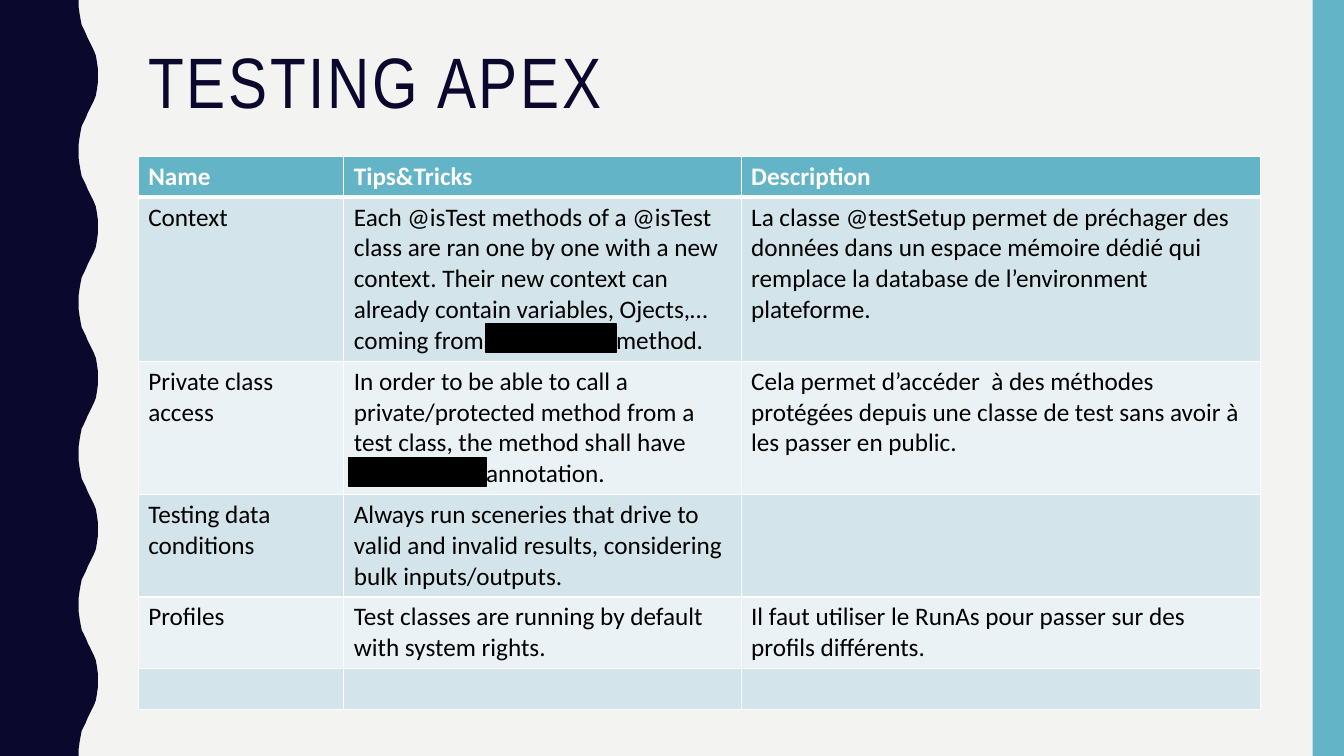
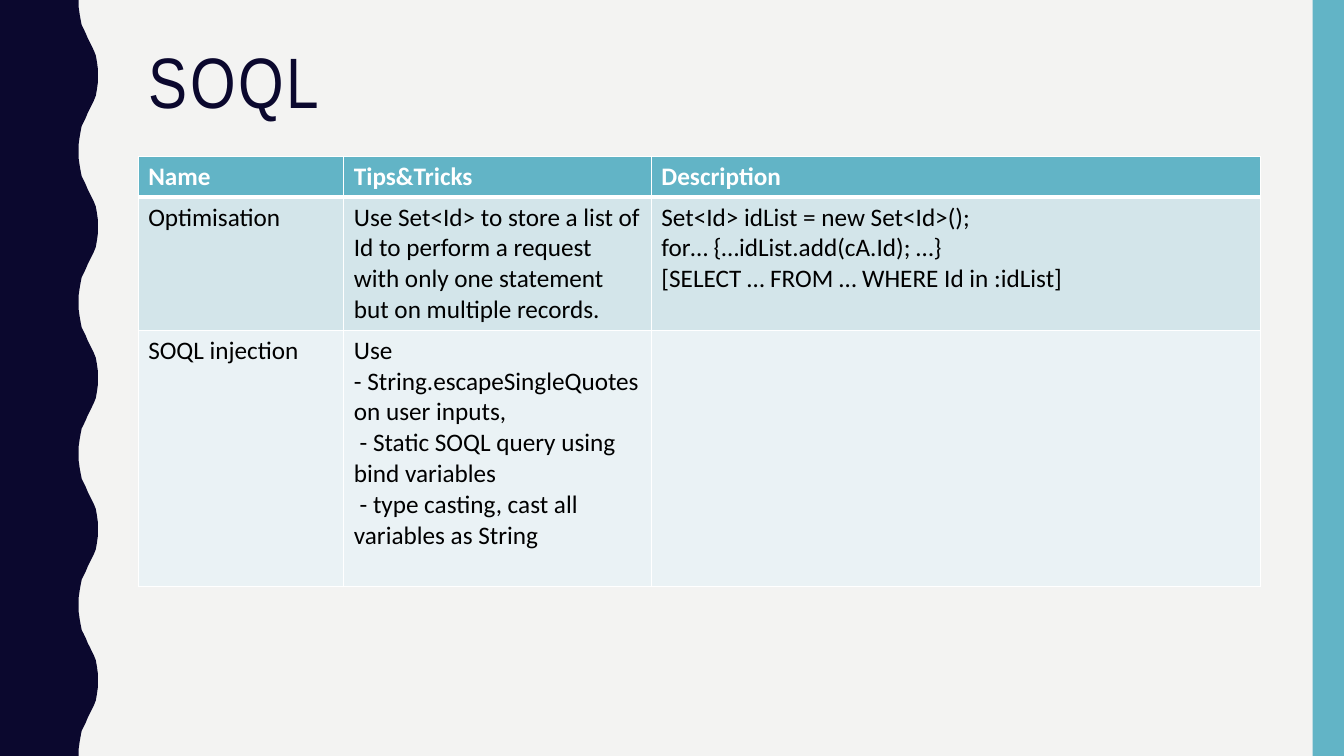
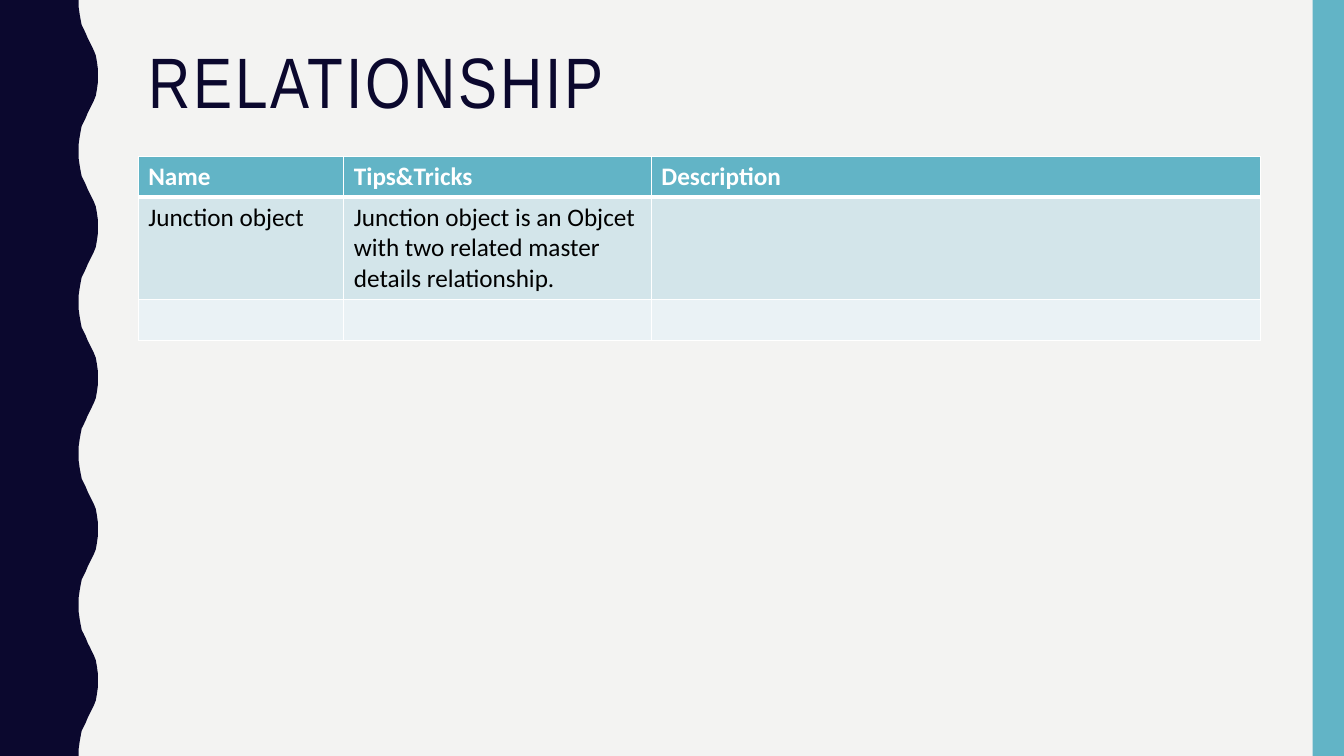
import itertools
from dataclasses import dataclass

import pptx
import pptx.dml.color
import pptx.enum.shapes
import pptx.enum.text
import pptx.oxml
import pptx.oxml.ns
import pptx.util


@dataclass(frozen=True)
class Theme:
    paper: str = "F3F3F2"
    navy: str = "0B082E"
    teal: str = "62B4C6"
    bands: tuple = ("D3E5EA", "EAF2F5")
    white: str = "FFFFFF"
    black: str = "000000"
    head: str = "Arial Narrow"
    body: str = "Calibri"
    big: int = 51
    small: int = 18
    track: int = 200


T = Theme()
PAGE = (0, 0, pptx.util.Inches(13.33), pptx.util.Inches(7.5))
PAD, LINE = pptx.util.Inches(0.1), pptx.util.Pt(22)

# Half a wave of the left edge: x and y as percentages of its box
WAVE = [(80.4, 0), (80.4, 9.3), (81.4, 18.7), (82.5, 26.7), (83.5, 33.3),
        (85.6, 38.7), (87.6, 44), (89.7, 50.7), (91.8, 56), (93.8, 61.3),
        (95.9, 66.7), (97.9, 73.3), (99, 81.3), (100, 90.7), (100, 100)]
HALVES = 10


def part(box, x, y, w, h):
    """Return a box inside another one, given in percentages of it."""
    left, top, wide, high = box
    return (round(left + wide * x / 100), round(top + high * y / 100),
            round(wide * w / 100), round(high * h / 100))


TITLE = part(PAGE, 10.28, 5.6, 83.5, 12.67)
TABLE = part(PAGE, 10.28, 20.67, 83.5, 73.33)
EDGE = part(PAGE, 0, 0, 7.28, 100)
STRIP = part(PAGE, 97.67, 0, 2.33, 100)


def rgb(tone):
    return pptx.dml.color.RGBColor.from_string(tone)


def paint(shape, tone, line=None):
    shape.shadow.inherit = False
    shape.fill.solid()
    shape.fill.fore_color.rgb = rgb(tone)
    if line:
        shape.line.color.rgb = rgb(tone)
        shape.line.width = pptx.util.Pt(line)
    else:
        shape.line.fill.background()
    return shape


def style(para, face, size, tone, bold=False):
    font = para.font
    font.name, font.size, font.bold = face, pptx.util.Pt(size), bold
    font.color.rgb = rgb(tone)


def block(slide, box, tone, line=None):
    kind = pptx.enum.shapes.MSO_SHAPE.RECTANGLE
    return paint(slide.shapes.add_shape(kind, *box), tone, line)


def wave(slide, box):
    """Draw the navy panel with its wavy right edge."""
    left, top, wide, high = box
    step = high / HALVES
    back = [(x, 100 - y) for x, y in reversed(WAVE)]
    edge = [(round(left + wide * x / 100), round(top + step * (k + y / 100)))
            for k in range(HALVES)
            for x, y in (back if k % 2 else WAVE)]
    pen = slide.shapes.build_freeform(left, top)
    pen.add_line_segments([(edge[0][0], top), *edge, (left, top + high)])
    return paint(pen.convert_to_shape(), T.navy)


def dress(deck, slide):
    """Give the master its background, side panels and title place."""
    master, layout = deck.slide_master, slide.slide_layout
    master.background.fill.solid()
    master.background.fill.fore_color.rgb = rgb(T.paper)
    sides = (wave(slide, EDGE), block(slide, STRIP, T.teal))
    for num, side in enumerate(sides, 50):
        side.element.nvSpPr.cNvPr.set("id", str(num))
        master.shapes.element.append(side.element)
    name = layout.placeholders[0]
    name.left, name.top, name.width, name.height = TITLE


def title(slide, text):
    frame = slide.shapes.title.text_frame
    frame.text = text
    frame.auto_size = pptx.enum.text.MSO_AUTO_SIZE.NONE
    frame.vertical_anchor = pptx.enum.text.MSO_ANCHOR.MIDDLE
    frame.margin_bottom = pptx.util.Inches(0.15)
    para = frame.paragraphs[0]
    para.alignment = pptx.enum.text.PP_ALIGN.LEFT
    para.line_spacing = 0.9
    style(para, T.head, T.big, T.navy)
    para.runs[0]._r.get_or_add_rPr().set("spc", str(T.track))


def rule(cell, row):
    """Add white cell borders, thick between head and body."""
    sizes = {"L": 1, "R": 1, "T": 3 if row == 1 else 1,
             "B": 3 if row == 0 else 1}
    props = cell._tc.get_or_add_tcPr()
    for side, size in sizes.items():
        props.append(pptx.oxml.parse_xml(
            f'<a:ln{side} {pptx.oxml.ns.nsdecls("a")} '
            f'w="{pptx.util.Pt(size)}"><a:solidFill>'
            f'<a:srgbClr val="{T.white}"/></a:solidFill></a:ln{side}>'))


def stop(para, place):
    """Add a left tab stop."""
    para._p.get_or_add_pPr().append(pptx.oxml.parse_xml(
        f'<a:tabLst {pptx.oxml.ns.nsdecls("a")}>'
        f'<a:tab pos="{place}" algn="l"/></a:tabLst>'))


def grid(slide, box, cols, rows, bars):
    """Fill a box with a table; each row gives its line count and texts.

    Each tab in the texts leaps to the right end of the next bar.
    """
    left, top, wide, _ = box
    rows = [(1, ("Name", "Tips&Tricks", "Description")), *rows]
    highs = [PAD + LINE * count for count, _ in rows]
    table = slide.shapes.add_table(len(rows), len(cols), left, top, wide,
                                   sum(highs)).table
    table.horz_banding = False
    for col, share in zip(table.columns, cols):
        col.width = round(wide * share / sum(cols))
    for row, high in zip(table.rows, highs):
        row.height = high
    ends = iter([wide * (x + w) / 100 for x, _, w, _ in bars])
    for r, c in itertools.product(range(len(rows)), range(len(cols))):
        cell = table.cell(r, c)
        rule(cell, r)
        cell.fill.solid()
        cell.fill.fore_color.rgb = rgb(T.bands[(r - 1) % 2] if r else T.teal)
        cell.text = rows[r][1][c]
        start = wide * sum(cols[:c]) / sum(cols) + cell.margin_left
        for para in cell.text_frame.paragraphs:
            if "\t" in para.text:
                stop(para, round(next(ends) - start))
            style(para, T.body, T.small, T.black if r else T.white, r == 0)


# Slide content: title, column shares, rows, black bars over the table
EMPTY = ("", "", "")
SLIDES = [
    ("TESTING APEX", (2.04, 3.94, 5.15), [
        (5, ("Context",
             "Each @isTest methods of a @isTest class are ran one by one with "
             "a new context. Their new context can already contain variables, "
             "Ojects,… coming from\tmethod.",
             "La classe @testSetup permet de préchager des données dans un "
             "espace mémoire dédié qui remplace la database de "
             "l’environment plateforme.")),
        (4, ("Private class access",
             "In order to be able to call a private/protected method from a "
             "test class, the method shall have\n\tannotation.",
             "Cela permet d’accéder  à des méthodes protégées depuis une "
             "classe de test sans avoir à les passer en public.")),
        (3, ("Testing data conditions",
             "Always run sceneries that drive to valid and invalid results, "
             "considering bulk inputs/outputs.", "")),
        (2, ("Profiles",
             "Test classes are running by default with system rights.",
             "Il faut utiliser le RunAs pour passer sur des profils "
             "différents.")),
        (1, EMPTY),
    ], [(31, 30.18, 11.59, 5.27), (18.78, 54.36, 12.22, 5.27)]),
    ("SOQL", (2.04, 3.05, 6.04), [
        (4, ("Optimisation",
             "Use Set<Id> to store a list of Id to perform a request with "
             "only one statement but on multiple records.",
             "Set<Id> idList = new Set<Id>();\n"
             "for… {…idList.add(cA.Id); …}\n"
             "[SELECT … FROM … WHERE Id in :idList]")),
        (8, ("SOQL injection",
             "Use\n- String.escapeSingleQuotes on user inputs,\n"
             " - Static SOQL query using bind variables\n"
             " - type casting, cast all variables as String", "")),
    ], []),
    ("RELATIONSHIP", (2.04, 3.05, 6.04), [
        (3, ("Junction object",
             "Junction object is an Objcet with two related master details "
             "relationship.", "")),
        (1, EMPTY),
    ], []),
]


def main():
    deck = pptx.Presentation()
    deck.slide_width, deck.slide_height = PAGE[2:]
    layout = deck.slide_layouts.get_by_name("Title Only")
    for num, (name, cols, rows, bars) in enumerate(SLIDES):
        slide = deck.slides.add_slide(layout)
        if num == 0:
            dress(deck, slide)
        title(slide, name)
        grid(slide, TABLE, cols, rows, bars)
        for bar in bars:
            block(slide, part(TABLE, *bar), T.black, 1)
    deck.save("out.pptx")


if __name__ == "__main__":
    main()
